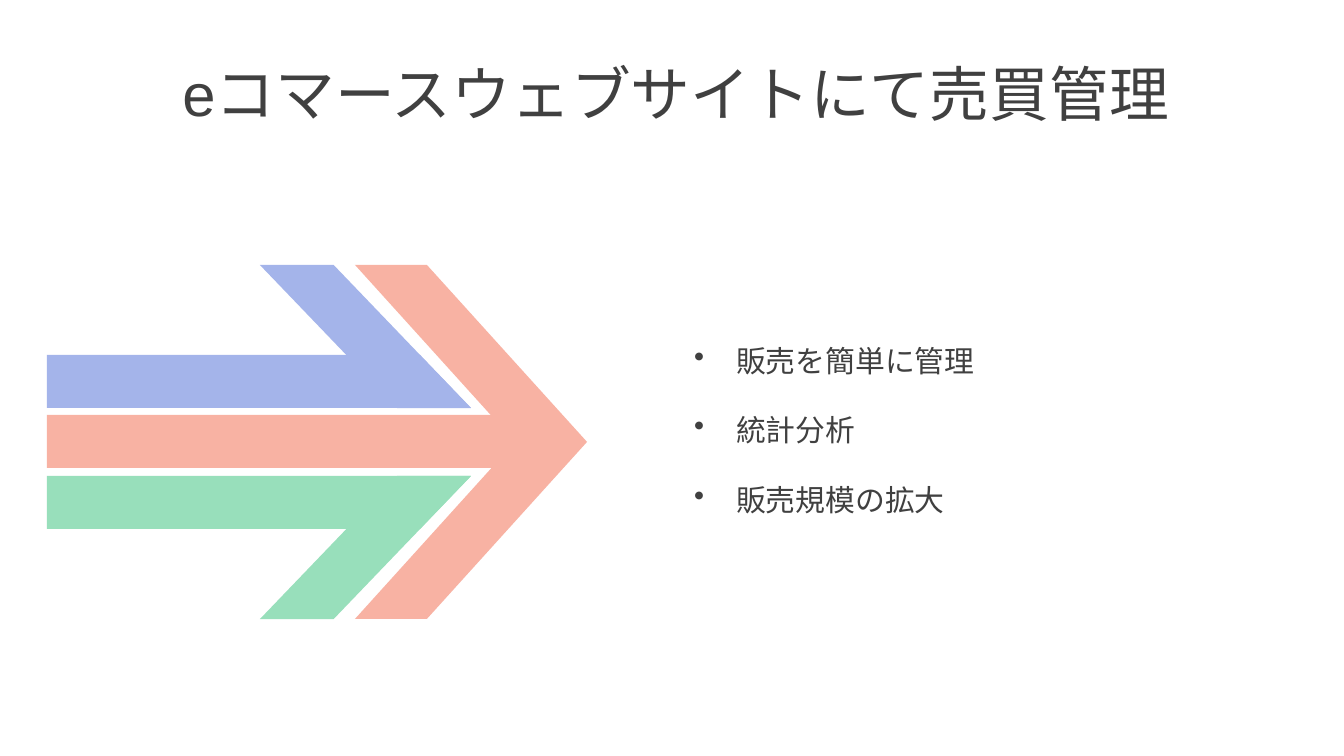
"""Build a slide with a three-strand arrow beside a list of sales management benefits."""
import pptx
import pptx.dml.color
import pptx.enum.shapes
import pptx.enum.text
import pptx.util
from lxml import etree

PX = 914400 / 134.4
INK = pptx.dml.color.RGBColor(0x40, 0x40, 0x40)
CORAL = pptx.dml.color.RGBColor(0xF8, 0xB2, 0xA3)
MINT = pptx.dml.color.RGBColor(0x98, 0xDF, 0xBB)
LAVENDER = pptx.dml.color.RGBColor(0xA4, 0xB4, 0xEA)
GEOMETRY = pptx.enum.shapes.MSO_SHAPE
ALIGN = pptx.enum.text.PP_ALIGN
ANCHOR = pptx.enum.text.MSO_ANCHOR


def add_text(text, *, box, size, align, anchor, gap=0, indent=0):
    frame = slide.shapes.add_textbox(*[round(n * PX) for n in box]).text_frame
    frame.word_wrap = True
    frame.vertical_anchor = anchor
    frame.text = text
    for paragraph in frame.paragraphs:
        paragraph.alignment = align
        paragraph.space_before = pptx.util.Pt(gap)
        paragraph.font.size = pptx.util.Pt(size)
        for run in paragraph.runs:
            run.font.size = pptx.util.Pt(size)
            run.font.name = "Arial"
            run.font.color.rgb = INK
        if indent:
            properties = paragraph._p.get_or_add_pPr()
            properties.set("marL", str(round(indent * PX)))
            properties.set("indent", str(round(-indent * PX)))
            bullet = etree.Element(pptx.oxml.ns.qn("a:buChar"), char="•")
            properties.insert_element_before(bullet, "a:tabLst", "a:defRPr", "a:extLst")


def paint(shape, color):
    shape.shadow.inherit = False
    shape.fill.solid()
    shape.fill.fore_color.rgb = color
    shape.line.fill.background()


deck = pptx.Presentation()
deck.slide_width = round(1344 * PX)
deck.slide_height = round(756 * PX)
slide = deck.slides.add_slide(deck.slide_layouts[6])

add_text("eコマースウェブサイトにて売買管理", box=(4, 12, 1344, 161), size=32,
         align=ALIGN.CENTER, anchor=ANCHOR.MIDDLE)

for geometry, box, slant, color, flipped in (
    (GEOMETRY.RECTANGLE, (47, 415, 483, 53), None, CORAL, False),
    (GEOMETRY.CHEVRON, (355, 265, 232, 354), 0.69, CORAL, False),
    (GEOMETRY.PARALLELOGRAM, (260, 476, 211, 143), 0.96, MINT, False),
    (GEOMETRY.PARALLELOGRAM, (260, 265, 211, 143), 0.96, LAVENDER, True),
):
    strand = slide.shapes.add_shape(geometry, *[round(n * PX) for n in box])
    if slant:
        strand.adjustments[0] = slant
    if flipped:
        strand._element.spPr.xfrm.set("flipH", "1")
    paint(strand, color)

for inner, outer, color in ((476, 529, MINT), (408, 355, LAVENDER)):
    outline = slide.shapes.build_freeform(47, inner, scale=PX)
    outline.add_line_segments([(471, inner), (420, outer), (47, outer)])
    paint(outline.convert_to_shape(), color)

add_text("販売を簡単に管理\n統計分析\n販売規模の拡大", box=(681, 293, 520, 231), size=16,
         align=ALIGN.LEFT, anchor=ANCHOR.BOTTOM, gap=18, indent=42)

deck.save("out.pptx")
